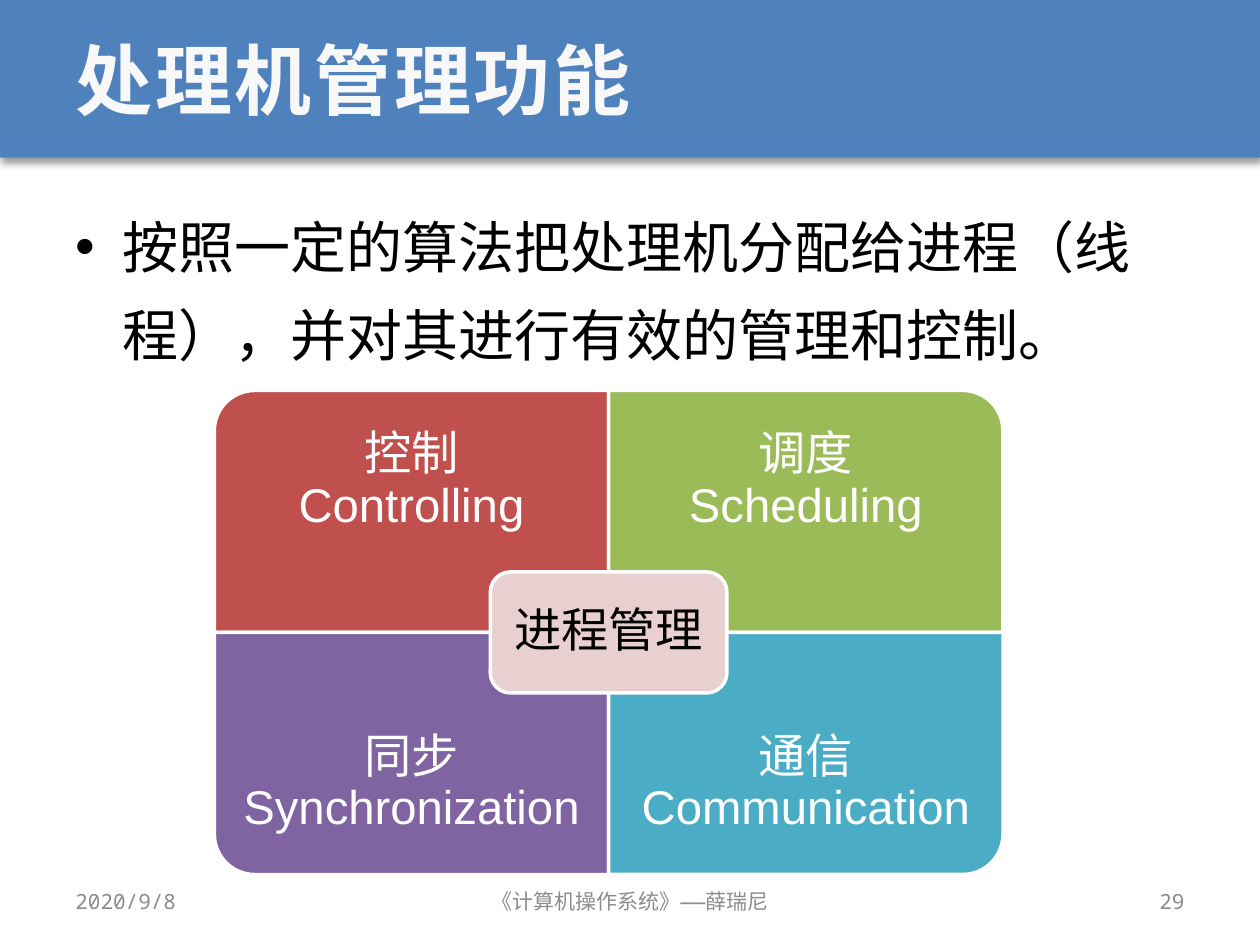
from lxml import etree
from pptx import Presentation
from pptx import util as u
from pptx.dml.color import RGBColor
from pptx.enum import shapes, text
from pptx.oxml import parse_xml
from pptx.oxml.ns import qn

BLUE = RGBColor(0x4F, 0x81, 0xBD)
RED = RGBColor(0xC0, 0x50, 0x4D)
GREEN = RGBColor(0x9B, 0xBB, 0x59)
PURPLE = RGBColor(0x80, 0x64, 0xA2)
TEAL = RGBColor(0x4B, 0xAC, 0xC6)
PINK = RGBColor(0xE8, 0xD0, 0xD0)
WHITE = RGBColor(0xFF, 0xFF, 0xFF)
OFF_WHITE = RGBColor(0xF8, 0xF8, 0xF8)
GRAY = RGBColor(0x8C, 0x8C, 0x8C)
BLACK = RGBColor(0, 0, 0)

MONO = "Noto Sans Mono"
SANS = "Arial"
LEFT = text.PP_ALIGN.LEFT
CENTER = text.PP_ALIGN.CENTER
RIGHT = text.PP_ALIGN.RIGHT
TOP = text.MSO_ANCHOR.TOP
MIDDLE = text.MSO_ANCHOR.MIDDLE

BANNER_SHADOW = (
    '<a:effectLst xmlns:a="http://schemas.openxmlformats.org/drawingml/2006/main">'
    '<a:outerShdw blurRad="50800" dist="38100" dir="5400000" rotWithShape="0">'
    '<a:srgbClr val="000000"><a:alpha val="40000"/></a:srgbClr>'
    '</a:outerShdw></a:effectLst>'
)


def write_text(shape, content, size, color, font=MONO, align=LEFT, anchor=MIDDLE,
               bold=False, tracking=None, line_spacing=None, inset=None, bullet_indent=None):
    frame = shape.text_frame
    frame.word_wrap = True
    frame.auto_size = text.MSO_AUTO_SIZE.NONE
    frame.vertical_anchor = anchor
    if inset is not None:
        frame.margin_left = frame.margin_right = u.Cm(inset)
        frame.margin_top = frame.margin_bottom = u.Cm(inset)
    paragraph = frame.paragraphs[0]
    paragraph.text = content
    paragraph.alignment = align
    if line_spacing:
        paragraph.line_spacing = line_spacing
    if bullet_indent:
        properties = paragraph._p.get_or_add_pPr()
        properties.set("marL", str(u.Cm(bullet_indent)))
        properties.set("indent", str(-u.Cm(bullet_indent)))
        etree.SubElement(properties, qn("a:buFont")).set("typeface", SANS)
        etree.SubElement(properties, qn("a:buChar")).set("char", "•")
    for run in paragraph.runs:
        run.font.size = u.Pt(size)
        run.font.bold = bold
        run.font.color.rgb = color
        run.font.name = font
        properties = run.font._element
        etree.SubElement(properties, qn("a:ea")).set("typeface", font)
        if tracking:
            properties.set("spc", str(int(tracking * 100)))


def add_text(slide, left, top, width, height, content, **style):
    box = slide.shapes.add_textbox(u.Cm(left), u.Cm(top), u.Cm(width), u.Cm(height))
    write_text(box, content, **style)


def add_filled(slide, preset, left, top, width, height, fill, outlined=True):
    shape = slide.shapes.add_shape(preset, u.Cm(left), u.Cm(top), u.Cm(width), u.Cm(height))
    shape.shadow.inherit = False
    shape.fill.solid()
    shape.fill.fore_color.rgb = fill
    if outlined:
        shape.line.color.rgb = WHITE
        shape.line.width = u.Pt(2)
    else:
        shape.line.fill.background()
    return shape


def add_header(slide, left, top, width, height, margin):
    banner = add_filled(slide, shapes.MSO_SHAPE.RECTANGLE, left, top, width, height, BLUE, False)
    properties = banner._element.spPr
    properties.replace(properties.find(qn("a:effectLst")), parse_xml(BANNER_SHADOW))
    title = slide.shapes.title
    title._element.addprevious(banner._element)
    title.left, title.top = u.Cm(left + margin), u.Cm(top)
    title.width, title.height = u.Cm(width - 2 * margin), u.Cm(height)
    write_text(title, "处理机管理功能", size=44, color=OFF_WHITE, bold=True, tracking=1.5)


def add_body(slide, left, top, width, height):
    add_text(slide, left, top, width, height,
             "按照一定的算法把处理机分配给进程（线程），并对其进行有效的管理和控制。",
             size=32, color=BLACK, anchor=TOP, line_spacing=1.3, bullet_indent=0.95)


def add_matrix(slide, left, top, width, height):
    tile_width, tile_height = width / 2, height / 2
    label_height = tile_height * 0.75
    label_style = dict(size=27, font=SANS, align=CENTER, line_spacing=0.9)
    tiles = [
        (0, 0, 270, RED, "控制\nControlling"),
        (0, 1, 0, GREEN, "调度\nScheduling"),
        (1, 0, 180, PURPLE, "同步\nSynchronization"),
        (1, 1, 90, TEAL, "通信\nCommunication"),
    ]
    for row, column, rotation, color, label in tiles:
        x, y = left + column * tile_width, top + row * tile_height
        turned = rotation % 180 == 90
        shape_width, shape_height = (tile_height, tile_width) if turned else (tile_width, tile_height)
        tile = add_filled(slide, shapes.MSO_SHAPE.ROUND_1_RECTANGLE,
                          x + (tile_width - shape_width) / 2, y + (tile_height - shape_height) / 2,
                          shape_width, shape_height, color)
        tile.rotation = rotation
        add_text(slide, x, y + row * (tile_height - label_height), tile_width, label_height,
                 label, color=WHITE, inset=0.53, **label_style)

    hub_width, hub_height = tile_width * 0.6, tile_height / 2
    hub = add_filled(slide, shapes.MSO_SHAPE.ROUNDED_RECTANGLE,
                     left + (width - hub_width) / 2, top + (height - hub_height) / 2,
                     hub_width, hub_height, PINK)
    write_text(hub, "进程管理", color=BLACK, inset=0.28, **label_style)


def add_footer(slide, left, top, width, height):
    side_width, center_width = 5.93, 8.04
    parts = [
        (0, side_width, LEFT, "2020/9/8"),
        ((width - center_width) / 2, center_width, CENTER, "《计算机操作系统》——薛瑞尼"),
        (width - side_width, side_width, RIGHT, "29"),
    ]
    for offset, part_width, align, content in parts:
        add_text(slide, left + offset, top, part_width, height, content,
                 size=12, color=GRAY, align=align)


def main():
    presentation = Presentation()
    presentation.slide_width, presentation.slide_height = u.Cm(25.4), u.Cm(19.05)
    slide = presentation.slides.add_slide(presentation.slide_layouts.get_by_name("Title Only"))
    add_header(slide, 0, 0, 25.4, 3.18, margin=1.27)
    add_body(slide, 1.27, 3.76, 22.86, 13.54)
    add_footer(slide, 1.27, 17.65, 22.86, 1.02)
    add_matrix(slide, 4.32, 7.87, 15.9, 9.76)
    presentation.save("out.pptx")


if __name__ == "__main__":
    main()
